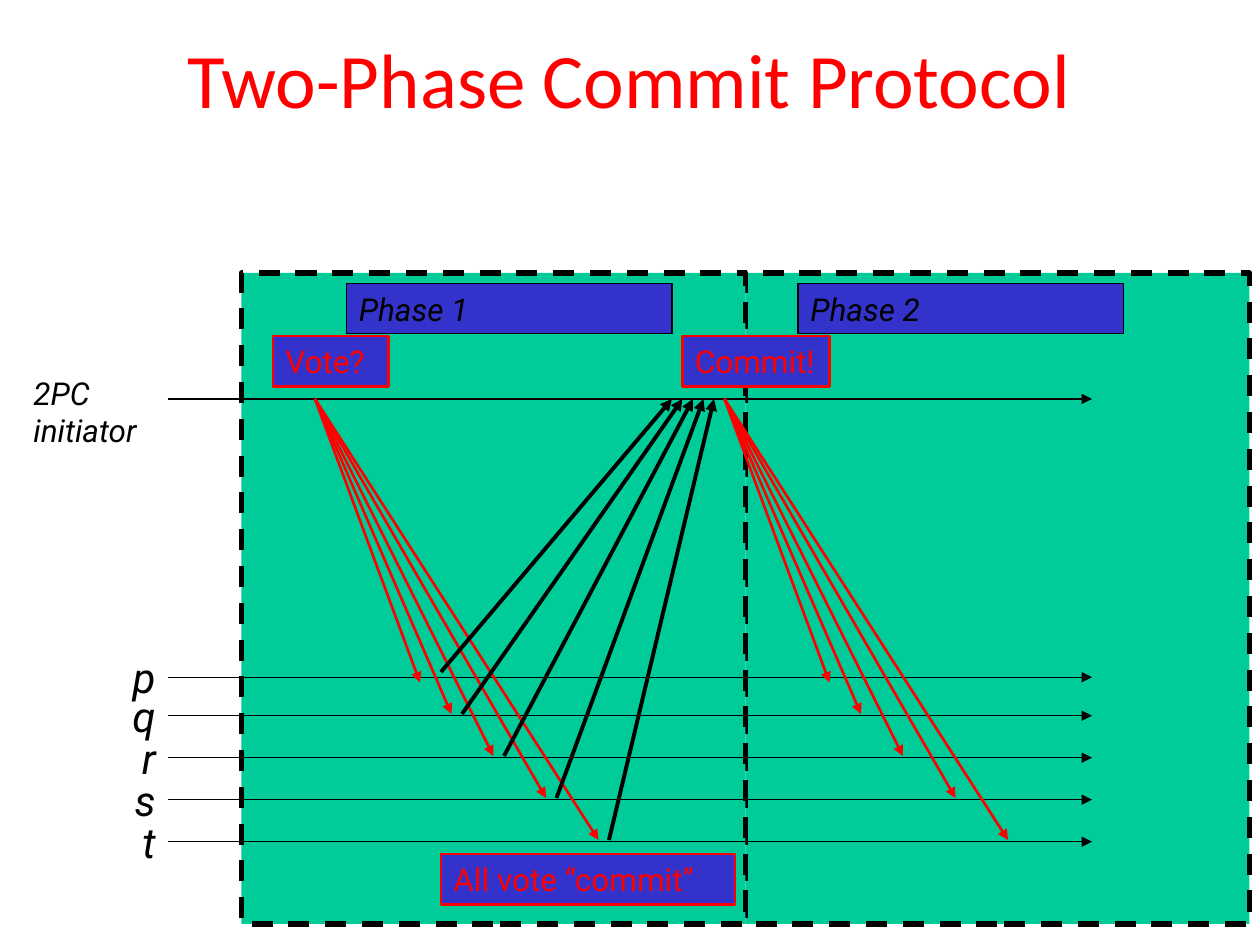
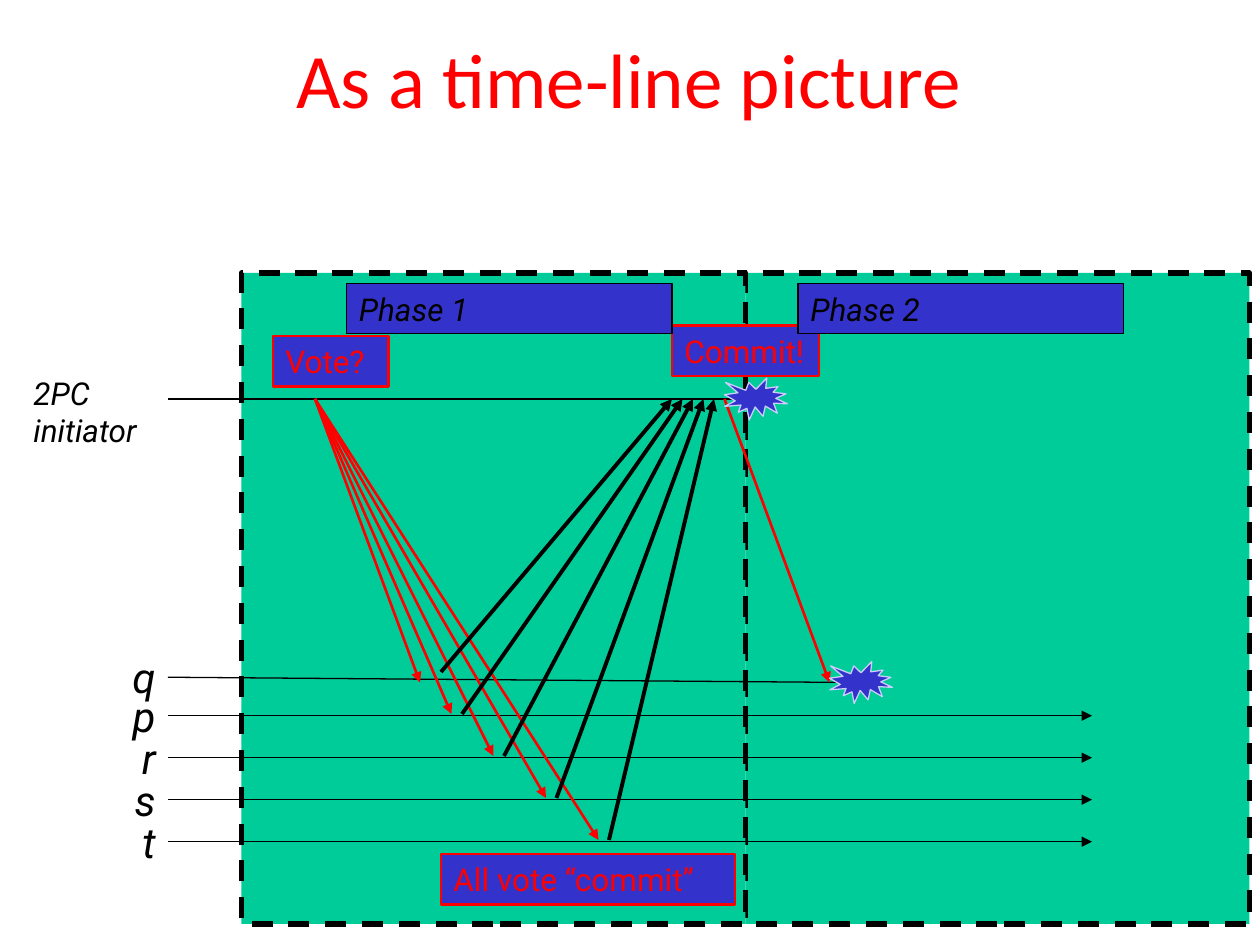
from collections import namedtuple

from lxml.etree import SubElement
from pptx import Presentation
from pptx.dml.color import RGBColor
from pptx.enum.dml import MSO_LINE
from pptx.enum.shapes import MSO_CONNECTOR, MSO_SHAPE
from pptx.enum.text import MSO_ANCHOR, PP_ALIGN
from pptx.oxml.ns import qn
from pptx.util import Pt

BLACK = RGBColor(0x00, 0x00, 0x00)
RED = RGBColor(0xFF, 0x00, 0x00)
GREEN = RGBColor(0x00, 0xCC, 0x99)
BLUE = RGBColor(0x33, 0x33, 0xCC)
LAVENDER = RGBColor(0xCC, 0xCC, 0xFF)
TITLE_FONT = "Calibri"
BODY_FONT = "Roboto"

Box = namedtuple("Box", "left top width height")
SLIDE_SIZE = (720, 540)
TITLE_BOX = Box(0, 0, 719, 89)
DIAGRAM_BOX = Box(12, 156, 702, 372)

# All positions below are relative to the diagram box.
LABEL_WIDTH = 84
PANEL_LEFT = 126
PANEL_WIDTH = 288
TIMELINE_END = 612
INITIATOR_Y = 72
PARTICIPANT_YS = [231] + [253 + 24 * row for row in range(4)]
ARRIVAL_YS = [234] + [252 + 24 * row for row in range(4)]
MESSAGE_RUNS = [60, 78, 102, 132, 162]
VOTE_X = 168
REPLY_X = 372
COMMIT_X = 402
TAG_HEIGHT = 28.8


def within(box, left, top, width, height):
    return Box(box.left + left, box.top + top, width, height)


def add_title(slide, box, text):
    title = slide.shapes.title
    title.left, title.top, title.width, title.height = map(Pt, box)
    frame = title.text_frame
    frame.margin_left = frame.margin_right = 0
    frame.margin_top = frame.margin_bottom = 0
    frame.vertical_anchor = MSO_ANCHOR.MIDDLE
    write(frame, text, 44, RED, font_name=TITLE_FONT, align=PP_ALIGN.CENTER)


def write(frame, text, size, color, italic=False, font_name=BODY_FONT,
          align=PP_ALIGN.LEFT):
    frame.text = text
    frame.word_wrap = True
    paragraph = frame.paragraphs[0]
    paragraph.alignment = align
    font = paragraph.runs[0].font
    font.name = font_name
    font.size = Pt(size)
    font.italic = italic
    font.color.rgb = color


def add_filled_shape(slide, kind, box, fill, line_color, line_width):
    shape = slide.shapes.add_shape(kind, *map(Pt, box))
    shape.shadow.inherit = False
    shape.fill.solid()
    shape.fill.fore_color.rgb = fill
    shape.line.color.rgb = line_color
    shape.line.width = Pt(line_width)
    return shape


def add_arrow(slide, box, start, end, color, width):
    """Draw an arrow between two points given relative to the box."""
    points = [Pt(offset + origin) for point in (start, end)
              for offset, origin in zip(point, (box.left, box.top))]
    arrow = slide.shapes.add_connector(MSO_CONNECTOR.STRAIGHT, *points)
    arrow.line.color.rgb = color
    arrow.line.width = Pt(width)
    properties = arrow._element.spPr
    SubElement(properties.find(qn("a:ln")), qn("a:tailEnd"), type="triangle")
    SubElement(properties, qn("a:effectLst"))


def add_panels(slide, box):
    for column in (1, 0):
        panel_box = within(box, PANEL_LEFT + column * PANEL_WIDTH, 0,
                           PANEL_WIDTH, box.height)
        panel = add_filled_shape(slide, MSO_SHAPE.RECTANGLE, panel_box,
                                 GREEN, BLACK, 3)
        panel.line.dash_style = MSO_LINE.DASH


def add_timeline(slide, box, name, y, end, size=24, align=PP_ALIGN.RIGHT,
                 label_height=TAG_HEIGHT):
    add_arrow(slide, box, (LABEL_WIDTH, y), end, BLACK, 0.75)
    label_box = within(box, 0, y - 18, LABEL_WIDTH, label_height)
    label = slide.shapes.add_textbox(*map(Pt, label_box))
    write(label.text_frame, name, size, BLACK, italic=True, align=align)


def add_timelines(slide, box, participants, crashed):
    """Draw the process lines; a crash ends the first two of them early."""
    ends = [(TIMELINE_END, y) for y in [INITIATOR_Y] + PARTICIPANT_YS]
    if crashed:
        ends[0] = (PANEL_LEFT + PANEL_WIDTH, INITIATOR_Y)
        ends[1] = (COMMIT_X + 72, ARRIVAL_YS[0])
    add_timeline(slide, box, "2PC initiator", INITIATOR_Y, ends[0], size=18,
                 align=PP_ALIGN.LEFT, label_height=51)
    for name, y, end in zip(participants, PARTICIPANT_YS, ends[1:]):
        add_timeline(slide, box, name, y, end)


def add_broadcast(slide, box, x, count):
    for run, y in list(zip(MESSAGE_RUNS, ARRIVAL_YS))[:count]:
        add_arrow(slide, box, (x, INITIATOR_Y), (x + run, y), RED, 1.5)


def add_replies(slide, box):
    for row, (run, y) in enumerate(zip(MESSAGE_RUNS, ARRIVAL_YS)):
        delay, lift = (12, 6) if row == 0 else (6, 0)
        add_arrow(slide, box, (VOTE_X + run + delay, y - lift),
                  (REPLY_X + 6 * row, INITIATOR_Y), BLACK, 2.25)


def add_tag(slide, box, text, left, top, width, color=RED, line_width=1.5,
            italic=False):
    tag_box = within(box, left, top, width, TAG_HEIGHT)
    tag = add_filled_shape(slide, MSO_SHAPE.RECTANGLE, tag_box, BLUE, color,
                           line_width)
    tag.text_frame.vertical_anchor = MSO_ANCHOR.TOP
    write(tag.text_frame, text, 18, color, italic)


def add_crashes(slide, box):
    commit_arrival = (COMMIT_X + MESSAGE_RUNS[0], ARRIVAL_YS[0])
    for x, y in ((COMMIT_X, INITIATOR_Y), commit_arrival):
        add_filled_shape(slide, MSO_SHAPE.EXPLOSION1,
                         within(box, x, y - 12, 36, 24), BLUE, LAVENDER, 0.75)


def add_protocol_slide(presentation, title, participants, crashed=False):
    slide = presentation.slides.add_slide(presentation.slide_layouts[5])
    box = DIAGRAM_BOX
    add_panels(slide, box)
    add_title(slide, TITLE_BOX, title)
    add_timelines(slide, box, participants, crashed)
    add_broadcast(slide, box, VOTE_X, 5)
    add_tag(slide, box, "Vote?", 144, 36, 66)
    add_replies(slide, box)
    add_tag(slide, box, "All vote “commit”", 240, 332, 168)
    add_broadcast(slide, box, COMMIT_X, 1 if crashed else 5)
    shift = 6 if crashed else 0
    add_tag(slide, box, "Commit!", 378 - shift, 36 - shift, 84)
    for text, left in (("Phase 1", 186), ("Phase 2", 444)):
        add_tag(slide, box, text, left, 6, 186, BLACK, 0.75, italic=True)
    if crashed:
        add_crashes(slide, box)


def main():
    presentation = Presentation()
    presentation.slide_width, presentation.slide_height = map(Pt, SLIDE_SIZE)
    add_protocol_slide(presentation, "Two-Phase Commit Protocol", "pqrst")
    add_protocol_slide(presentation, "As a time-line picture", "qprst",
                       crashed=True)
    presentation.save("out.pptx")


if __name__ == "__main__":
    main()
